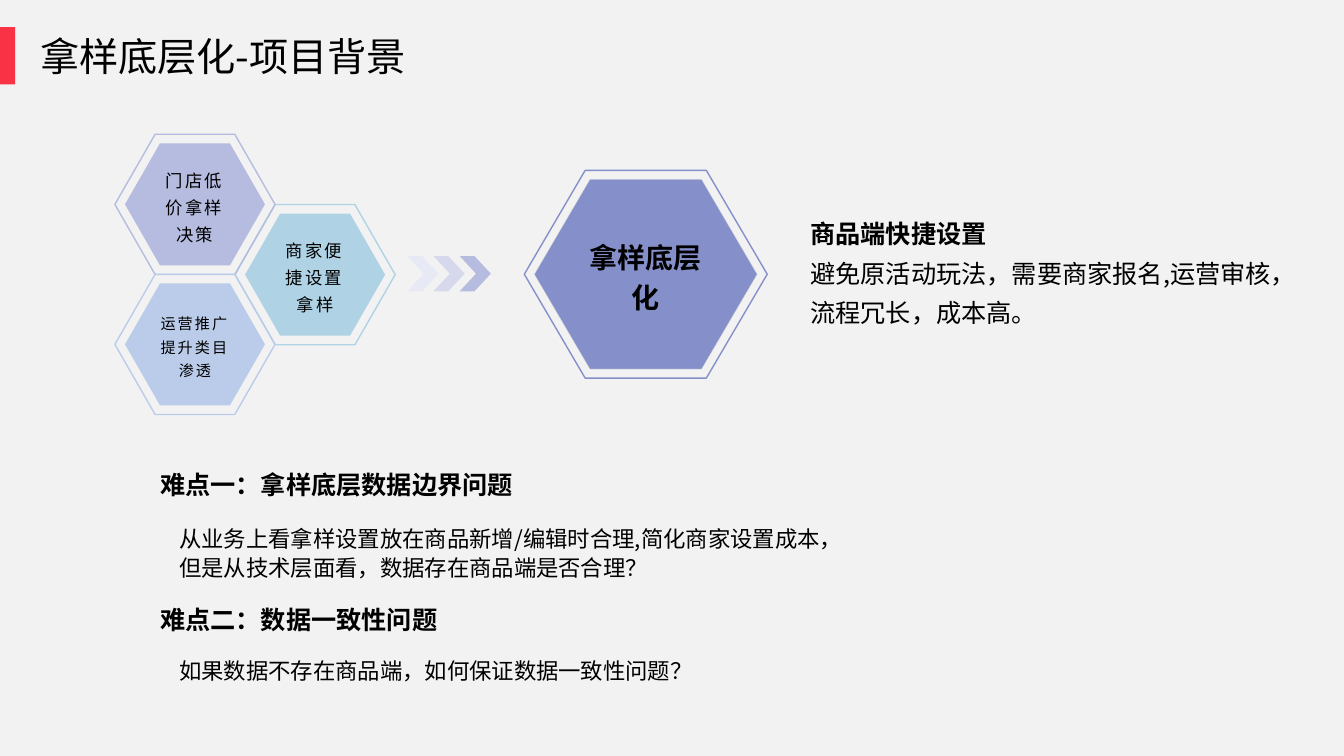
"""Build the slide on the background and difficulties of the sampling project."""
from dataclasses import dataclass

from lxml import etree
from pptx import Presentation
from pptx.dml.color import RGBColor
from pptx.enum.shapes import MSO_SHAPE
from pptx.enum.text import MSO_ANCHOR, MSO_AUTO_SIZE, PP_ALIGN
from pptx.oxml.ns import qn
from pptx.util import Pt

RECTANGLE = MSO_SHAPE.RECTANGLE
HEXAGON = MSO_SHAPE.HEXAGON
CHEVRON = MSO_SHAPE.CHEVRON
MIDDLE = MSO_ANCHOR.MIDDLE
CENTER = PP_ALIGN.CENTER
GROW = MSO_AUTO_SIZE.SHAPE_TO_FIT_TEXT

LATIN = "Arial"
CHINESE = "Noto Sans CJK SC"
BLACK = "000000"
RING_GAP_X, RING_GAP_Y = 7.2, 6.5
CHEVRON_LEFT, CHEVRON_STEP = 290.9, 18.7


@dataclass
class Line:
    text: str
    size: float
    font: str = CHINESE
    bold: bool = False
    spacing: float = 1.0
    tracking: float = 0


@dataclass
class TextBlock:
    left: float
    top: float
    width: float
    height: float
    lines: list[Line]
    wrap: bool = False


@dataclass
class Cell:
    left: float
    top: float
    width: float
    height: float
    bend: float
    color: str
    label: Line
    edge: str = ""


TEXT_BLOCKS = [
    TextBlock(21.6, 19.4, 280.1, 41, [Line("拿样底层化-项目背景", 28)], wrap=True),
    TextBlock(571.7, 146.2, 365.8, 113.8, [
        Line("商品端快捷设置", 18, LATIN, True, 1.3),
        Line("避免原活动玩法，需要商家报名,运营审核，", 18, spacing=1.3),
        Line("流程冗长，成本高。", 18, spacing=1.3),
    ]),
    TextBlock(107.3, 331.9, 267.1, 28.8, [Line("难点一：拿样底层数据边界问题", 18, bold=True)]),
    TextBlock(121, 369.4, 732.2, 49.7, [
        Line("从业务上看拿样设置放在商品新增/编辑时合理,简化商家设置成本，", 16, spacing=1.1),
        Line("但是从技术层面看，数据存在商品端是否合理？", 16, spacing=1.1),
    ], wrap=True),
    TextBlock(107.3, 428.4, 213.1, 28.8, [Line("难点二：数据一致性问题", 18, bold=True)]),
    TextBlock(121, 465.8, 732.2, 26.6,
              [Line("如果数据不存在商品端，如何保证数据一致性问题？", 16)], wrap=True),
]

CELLS = [
    Cell(175.1, 152.6, 100, 87.2, 0.287, "AFD3E5",
         Line("商家便捷设置拿样", 12.4, LATIN, spacing=1.3, tracking=1.5)),
    Cell(89.3, 102.4, 100, 87.2, 0.287, "B6BCDF",
         Line("门店低价拿样决策", 12.4, LATIN, spacing=1.3, tracking=1.5)),
    Cell(89.3, 202.4, 100, 87.2, 0.287, "BBCCEA",
         Line("运营推广提升类目渗透", 10.8, LATIN, spacing=1.3, tracking=1.5)),
    Cell(381.7, 128.2, 159.1, 135.4, 0.293, "8590CA",
         Line("拿样底层化", 20, LATIN, True, 1.2), edge="D7D7D7"),
]

CHEVRONS = [("E7E9F4", 100), ("CED3EA", 79), ("B6BCDF", 100)]


def rgb(value: str) -> RGBColor:
    """Turn a hex string into a colour."""
    return RGBColor.from_string(value)


def write_lines(frame, lines: list[Line]) -> None:
    """Write one paragraph for each line."""
    for index, line in enumerate(lines):
        para = frame.add_paragraph() if index else frame.paragraphs[0]
        para.line_spacing = line.spacing
        para.font.name = line.font
        para.font.size = Pt(line.size)
        para.font.bold = line.bold
        para.font.color.rgb = rgb(BLACK)
        span = para.add_run()
        span.text = line.text
        if line.tracking:
            span._r.get_or_add_rPr().set("spc", str(round(line.tracking * 100)))


def add_block(page, block: TextBlock) -> None:
    """Add a text box that grows with its text."""
    box = page.shapes.add_textbox(
        Pt(block.left), Pt(block.top), Pt(block.width), Pt(block.height))
    box.text_frame.word_wrap = block.wrap
    box.text_frame.auto_size = GROW
    write_lines(box.text_frame, block.lines)


def add_plain(page, kind, left: float, top: float, width: float, height: float,
              fill: str = "", edge: str = "", weight: float = 1):
    """Add a shape without shadow, with optional fill and outline."""
    shape = page.shapes.add_shape(kind, Pt(left), Pt(top), Pt(width), Pt(height))
    shape.shadow.inherit = False
    if fill:
        shape.fill.solid()
        shape.fill.fore_color.rgb = rgb(fill)
    else:
        shape.fill.background()
    if edge:
        shape.line.color.rgb = rgb(edge)
        shape.line.width = Pt(weight)
    else:
        shape.line.fill.background()
    return shape


def add_cell(page, cell: Cell) -> None:
    """Add a labelled hexagon and the ring around it."""
    core = add_plain(page, HEXAGON, cell.left, cell.top, cell.width, cell.height,
                     cell.color, cell.edge, 0.25)
    ring = add_plain(page, HEXAGON, cell.left - RING_GAP_X, cell.top - RING_GAP_Y,
                     cell.width + 2 * RING_GAP_X, cell.height + 2 * RING_GAP_Y,
                     edge=cell.color)
    for hexagon in (core, ring):
        hexagon.adjustments[0] = cell.bend
    core.text_frame.word_wrap = True
    core.text_frame.vertical_anchor = MIDDLE
    write_lines(core.text_frame, [cell.label])
    core.text_frame.paragraphs[0].alignment = CENTER


def add_chevron(page, index: int, color: str, opacity: int) -> None:
    """Add one chevron of the row."""
    chevron = add_plain(page, CHEVRON, CHEVRON_LEFT + index * CHEVRON_STEP, 182.9,
                        22.3, 25.2, color)
    chevron.adjustments[0] = 0.525
    if opacity < 100:
        tint = chevron._element.spPr.find(qn("a:solidFill"))[0]
        etree.SubElement(tint, qn("a:alpha")).set("val", str(opacity * 1000))


def main() -> None:
    """Build and save the deck."""
    deck = Presentation()
    deck.slide_width, deck.slide_height = Pt(960), Pt(540)
    page = deck.slides.add_slide(deck.slide_layouts[6])
    page.background.fill.solid()
    page.background.fill.fore_color.rgb = rgb("F2F2F2")
    add_plain(page, RECTANGLE, 0, 19.4, 10.8, 41, "FA3246")
    for cell in CELLS:
        add_cell(page, cell)
    for index, (color, opacity) in enumerate(CHEVRONS):
        add_chevron(page, index, color, opacity)
    for block in TEXT_BLOCKS:
        add_block(page, block)
    deck.save("out.pptx")


if __name__ == "__main__":
    main()
